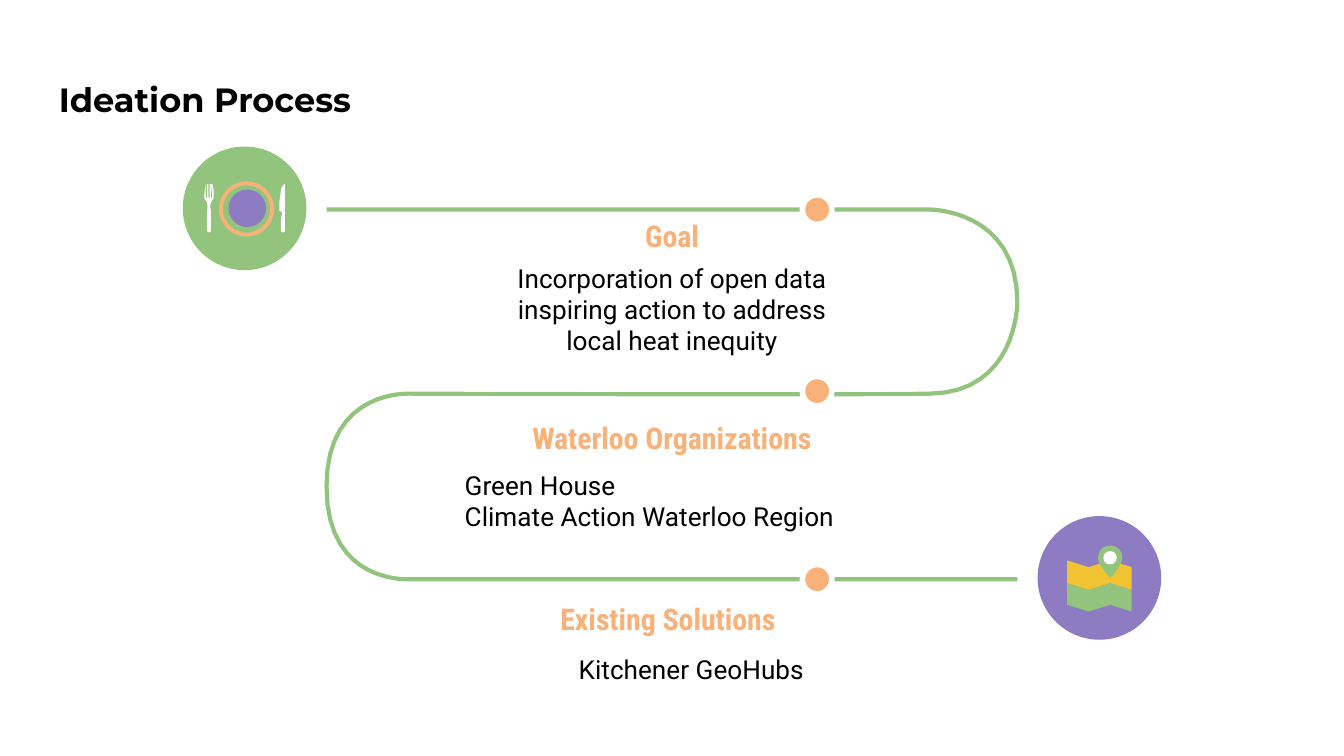
"""Build the Ideation Process slide: a winding route with three stops and two icons."""
from dataclasses import dataclass

from pptx import Presentation
from pptx import util as u
from pptx.dml import color
from pptx.enum import shapes, text

PX = 9144
SLIDE_WIDTH, ASPECT = 1000, (16, 9)


@dataclass(frozen=True)
class Theme:
    green: str = "93C47D"
    orange: str = "F8B179"
    purple: str = "8E7CC3"
    yellow: str = "F1C232"
    white: str = "FFFFFF"
    black: str = "000000"
    title_size: int = 18
    heading_size: int = 16
    body_size: int = 14
    route_width: float = 2.25
    dot_outline: float = 3


THEME = Theme()
STYLES = {
    "title": ({"name": "Montserrat", "size": u.Pt(THEME.title_size), "bold": True}, THEME.black),
    "heading": ({"name": "Roboto Condensed", "size": u.Pt(THEME.heading_size), "bold": True},
                THEME.orange),
    "body": ({"name": "Roboto", "size": u.Pt(THEME.body_size), "bold": False}, THEME.black),
}
LEFT, CENTER, RIGHT = text.PP_ALIGN.LEFT, text.PP_ALIGN.CENTER, text.PP_ALIGN.RIGHT

TEXTS = [
    ("title", (34, 49, 932, 50), LEFT, ["Ideation Process"]),
    ("heading", (359, 152, 282, 37), CENTER, ["Goal"]),
    ("body", (359, 185, 282, 84), CENTER,
     ["Incorporation of open data inspiring action to address local heat inequity"]),
    ("heading", (325, 302, 350, 57), CENTER, ["Waterloo Organizations"]),
    ("body", (336, 339, 323, 89), LEFT, ["Green House", "Climate Action Waterloo Region"]),
    ("heading", (386, 437, 222, 37), CENTER, ["Existing Solutions"]),
    ("body", (386, 476, 222, 60), RIGHT, ["Kitchener GeoHubs"]),
]

ROUTE = [
    (243, 156), (692, 156),
    (692, 156, 757, 156, 757, 225), (757, 225, 757, 292, 692, 293),
    (635, 294, 307, 293, 307, 293),
    (307, 293, 243, 288, 243, 362), (243, 437, 307, 431, 307, 431),
    (757, 431),
]
DOT_LEFT, DOT_TOPS, DOT_SIZE = 597, (145, 280, 420), 22
DISC_SIZE = 92

FORK = [
    (153, 137), (152, 145), (152, 147, 152, 148, 153, 149), (154, 150, 155, 153, 154, 157),
    (154, 171), (154, 173, 157, 174, 157, 171), (157, 157),
    (156, 153, 157, 150, 158, 149), (159, 148, 159, 147, 159, 146), (159, 141),
    (158, 137), (157, 137), (158, 147), (157, 147), (157, 137), (156, 137), (156, 147),
    (155, 147), (155, 137), (154, 137), (154, 147), (153, 147), (153, 137),
]
KNIFE = [
    (212, 137), (211, 137, 209, 140, 209, 142), (209, 145, 208, 147, 208, 150), (208, 157),
    (209, 157, 210, 158, 210, 159), (210, 161, 209, 161, 209, 162), (209, 172),
    (210, 173, 212, 174, 212, 171), (212, 137),
]
PIN = [
    (826, 406), (821, 406, 817, 410, 817, 415), (817, 421, 826, 430, 826, 430),
    (826, 430, 835, 421, 835, 415), (835, 410, 831, 406, 826, 406),
]
MAP_LEFT, MAP_FOLD, FOLD_DROPS = 794, 16, (0, 5, 0, 5)
MAP_BANDS = [(417, 434, THEME.yellow), (434, 450, THEME.green)]


def rgb(value):
    return color.RGBColor.from_string(value)


def paint(shape, fill=None, line=None, width=0):
    shape.shadow.inherit = False
    for part, value in ((shape.fill, fill), (shape.line.fill, line)):
        if value:
            part.solid()
            part.fore_color.rgb = rgb(value)
        else:
            part.background()
    if line:
        shape.line.width = u.Pt(width)


def add_round(parent, left, top, size, fill, kind=shapes.MSO_SHAPE.OVAL, **line):
    shape = parent.add_shape(kind, *(value * PX for value in (left, top, size, size)))
    paint(shape, fill, **line)
    return shape


def trace(steps, samples=16):
    points = [steps[0]]
    for step in steps[1:]:
        if len(step) == 2:
            points.append(step)
            continue
        knots = [points[-1], step[:2], step[2:4], step[4:]]
        for index in range(1, samples + 1):
            t = index / samples
            weights = ((1 - t) ** 3, 3 * t * (1 - t) ** 2, 3 * t * t * (1 - t), t ** 3)
            points.append(tuple(sum(w * knot[axis] for w, knot in zip(weights, knots))
                                for axis in (0, 1)))
    return [(round(x * PX), round(y * PX)) for x, y in points]


def add_outline(parent, steps, close=True, **look):
    start, *rest = trace(steps)
    builder = parent.build_freeform(*start)
    builder.add_line_segments(rest, close=close)
    paint(builder.convert_to_shape(), **look)


def add_text(parent, style, place, align, lines):
    box = parent.add_textbox(*(value * PX for value in place))
    frame = box.text_frame
    margins = dict.fromkeys(("margin_left", "margin_top", "margin_right", "margin_bottom"), 10 * PX)
    for name, value in {**margins, "word_wrap": True}.items():
        setattr(frame, name, value)
    values, ink = STYLES[style]
    for index, line in enumerate(lines):
        para = frame.add_paragraph() if index else frame.paragraphs[0]
        para.alignment = align
        span = para.add_run()
        span.text = line
        for name, value in values.items():
            setattr(span.font, name, value)
        span.font.color.rgb = rgb(ink)


def add_map_icon(parent):
    add_round(parent, 772, 384, DISC_SIZE, THEME.purple)
    for top, bottom, fill in MAP_BANDS:
        upper, lower = ([(MAP_LEFT + fold * MAP_FOLD, edge + drop)
                         for fold, drop in enumerate(FOLD_DROPS)] for edge in (top, bottom))
        add_outline(parent, upper + lower[::-1], fill=fill)
    add_outline(parent, PIN, fill=THEME.green)
    add_round(parent, 821, 410, 10, THEME.white)


def add_meal_icon(parent):
    add_round(parent, 136, 109, DISC_SIZE, THEME.green)
    rim = add_round(parent, 163, 135, 41, THEME.orange, shapes.MSO_SHAPE.DONUT)
    rim.adjustments[0] = 0.07
    add_round(parent, 170, 141, 28, THEME.purple)
    for cutlery in (FORK, KNIFE):
        add_outline(parent, cutlery, fill=THEME.white)


def main():
    deck = Presentation()
    deck.slide_width = SLIDE_WIDTH * PX
    deck.slide_height = deck.slide_width * ASPECT[1] // ASPECT[0]
    page = deck.slides.add_slide(deck.slide_layouts[6])
    add_outline(page.shapes, ROUTE, close=False, line=THEME.green, width=THEME.route_width)
    for entry in TEXTS:
        add_text(page.shapes, *entry)
    for top in DOT_TOPS:
        add_round(page.shapes, DOT_LEFT, top, DOT_SIZE, THEME.orange,
                  line=THEME.white, width=THEME.dot_outline)
    for add_icon in (add_map_icon, add_meal_icon):
        add_icon(page.shapes.add_group_shape().shapes)
    deck.save("out.pptx")


if __name__ == "__main__":
    main()
